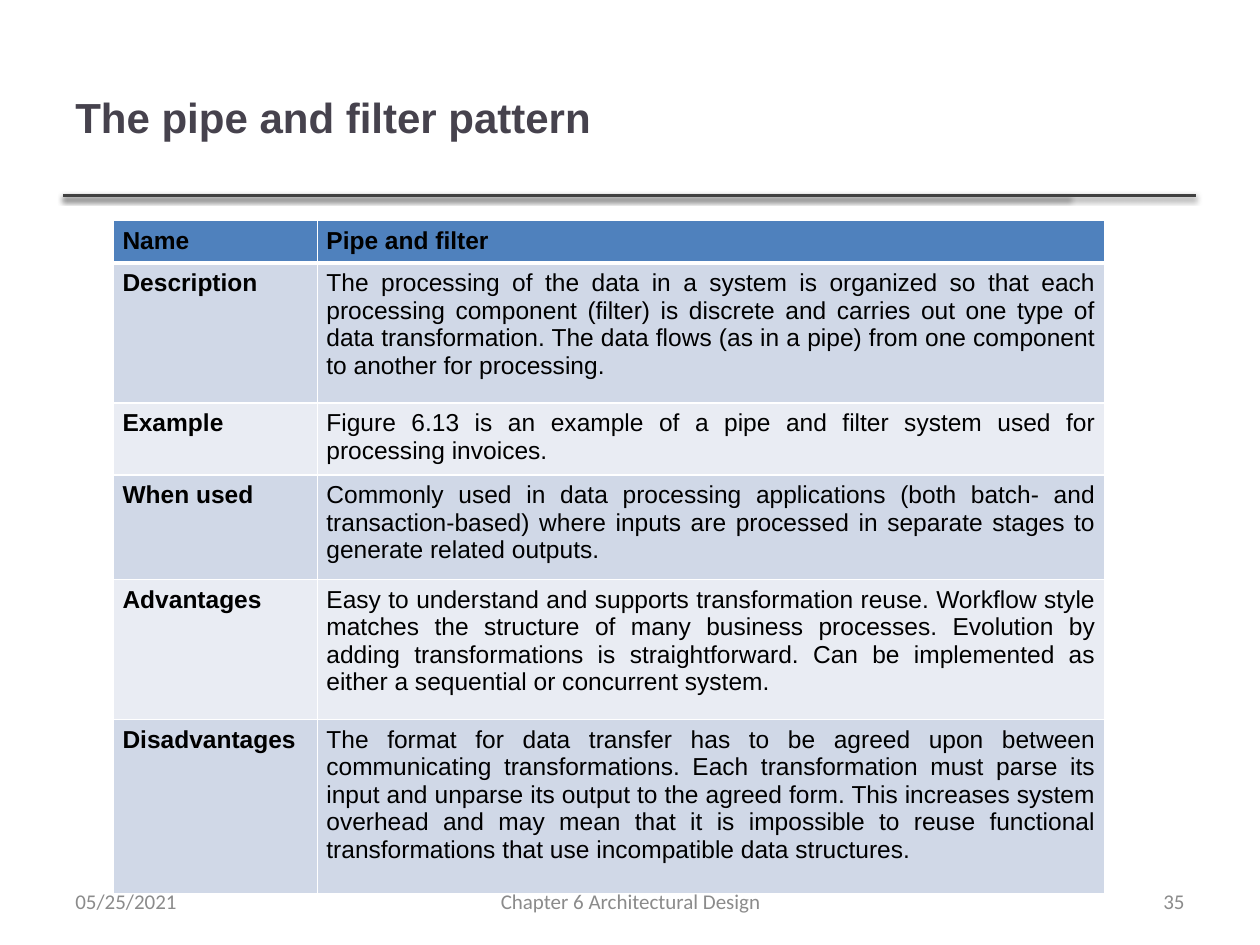
from lxml import etree
from pptx import Presentation
from pptx import util as u
from pptx.dml.color import RGBColor
from pptx.enum import shapes, text
from pptx.oxml import parse_xml

NS = 'xmlns:a="http://schemas.openxmlformats.org/drawingml/2006/main"'
AL = text.PP_ALIGN


def color(value):
    return RGBColor.from_string(value)


def write(tf, content, size=14, font="Arial", fill="000000", bold=False, align=AL.LEFT):
    tf.word_wrap = True
    p = tf.paragraphs[0]
    p.alignment = align
    r = p.add_run()
    r.text = content
    r.font.size = u.Pt(size)
    r.font.name = font
    r.font.bold = bold
    r.font.color.rgb = color(fill)


prs = Presentation()
prs.slide_width, prs.slide_height = u.Cm(25.4), u.Cm(19.05)
s = prs.slides.add_slide(prs.slide_layouts[6])

for end in (21.56, 24.1):
    rule = s.shapes.add_connector(
        shapes.MSO_CONNECTOR.STRAIGHT, u.Cm(1.27), u.Cm(3.94), u.Cm(end), u.Cm(3.94))
    rule.line.color.rgb = color("404040")
    rule.line.width = u.Pt(2)
    rule._element.spPr.append(parse_xml(
        f'<a:effectLst {NS}><a:outerShdw blurRad="40000" dist="20000" dir="5400000" rotWithShape="0">'
        '<a:srgbClr val="000000"><a:alpha val="38000"/></a:srgbClr></a:outerShdw></a:effectLst>'))

title = s.shapes.add_textbox(u.Cm(1.27), u.Cm(0.76), u.Cm(20.27), u.Cm(3.18))
title.text_frame.vertical_anchor = text.MSO_ANCHOR.MIDDLE
write(title.text_frame, "The pipe and filter pattern", size=24, fill="46424D", bold=True)

rows = [
    (0.81, "Name", "Pipe and filter"),
    (2.82, "Description",
     "The processing of the data in a system is organized so that each processing component "
     "(filter) is discrete and carries out one type of data transformation. The data flows "
     "(as in a pipe) from one component to another for processing. "),
    (1.4, "Example",
     "Figure 6.13 is an example of a pipe and filter system used for processing invoices."),
    (2.11, "When used",
     "Commonly used in data processing applications (both batch- and transaction-based) where "
     "inputs are processed in separate stages to generate related outputs."),
    (2.82, "Advantages",
     "Easy to understand and supports transformation reuse. Workflow style matches the structure "
     "of many business processes. Evolution by adding transformations is straightforward. Can be "
     "implemented as either a sequential or concurrent system."),
    (3.51, "Disadvantages",
     "The format for data transfer has to be agreed upon between communicating transformations. "
     "Each transformation must parse its input and unparse its output to the agreed form. This "
     "increases system overhead and may mean that it is impossible to reuse functional "
     "transformations that use incompatible data structures."),
]
widths = (4.11, 15.87)
table = s.shapes.add_table(
    len(rows), len(widths), u.Cm(2.29), u.Cm(4.45),
    u.Cm(sum(widths)), u.Cm(sum(row[0] for row in rows))).table
for column, width in zip(table.columns, widths):
    column.width = u.Cm(width)

for i, (height, *contents) in enumerate(rows):
    table.rows[i].height = u.Cm(height)
    for j, content in enumerate(contents):
        cell = table.cell(i, j)
        cell.margin_left = cell.margin_right = u.Cm(0.18)
        cell.margin_top = cell.margin_bottom = u.Cm(0.13)
        cell.fill.solid()
        cell.fill.fore_color.rgb = color("4F81BD" if i == 0 else ("E9ECF3", "D0D8E7")[i % 2])
        write(cell.text_frame, content, bold=i == 0 or j == 0, align=AL.JUSTIFY)
        tcPr = cell._tc.get_or_add_tcPr()
        for k, side in enumerate("LRTB"):
            thick = (i, side) in ((0, "B"), (1, "T"))
            ln = etree.fromstring(
                f'<a:ln{side} {NS} w="{u.Pt(3 if thick else 0.96)}"><a:solidFill>'
                f'<a:srgbClr val="FFFFFF"/></a:solidFill></a:ln{side}>')
            tcPr.insert(k, ln)

footers = [
    (8.69, 8.05, "Chapter 6 Architectural Design", AL.CENTER),
    (18.21, 5.92, "35", AL.RIGHT),
    (1.27, 5.92, "05/25/2021", AL.LEFT),
]
for left, width, content, align in footers:
    sp = s.shapes.add_textbox(u.Cm(left), u.Cm(17.65), u.Cm(width), u.Cm(1.02))
    sp.text_frame.vertical_anchor = text.MSO_ANCHOR.MIDDLE
    write(sp.text_frame, content, size=12, font="Calibri", fill="8B8B8B", align=align)

prs.save("out.pptx")
